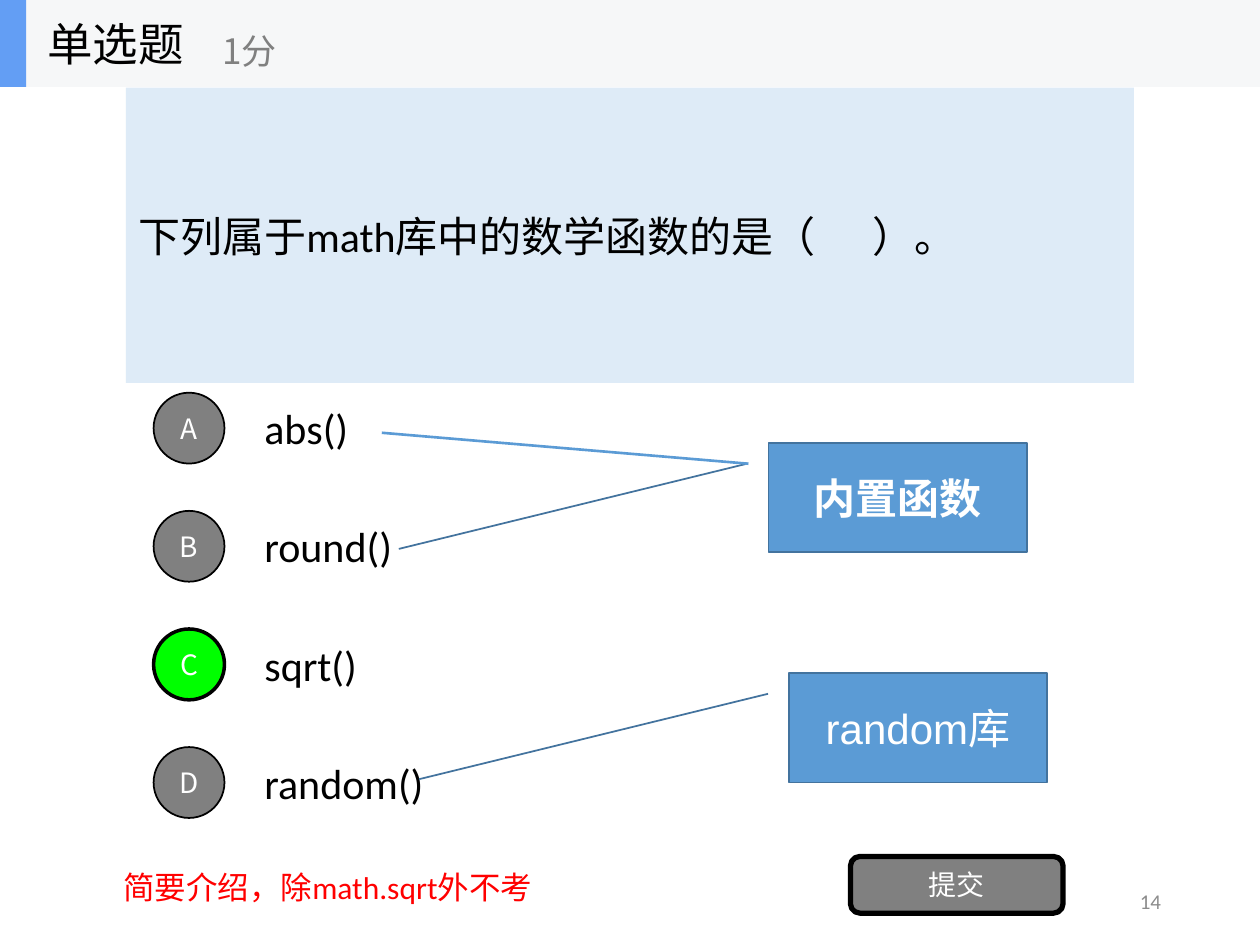
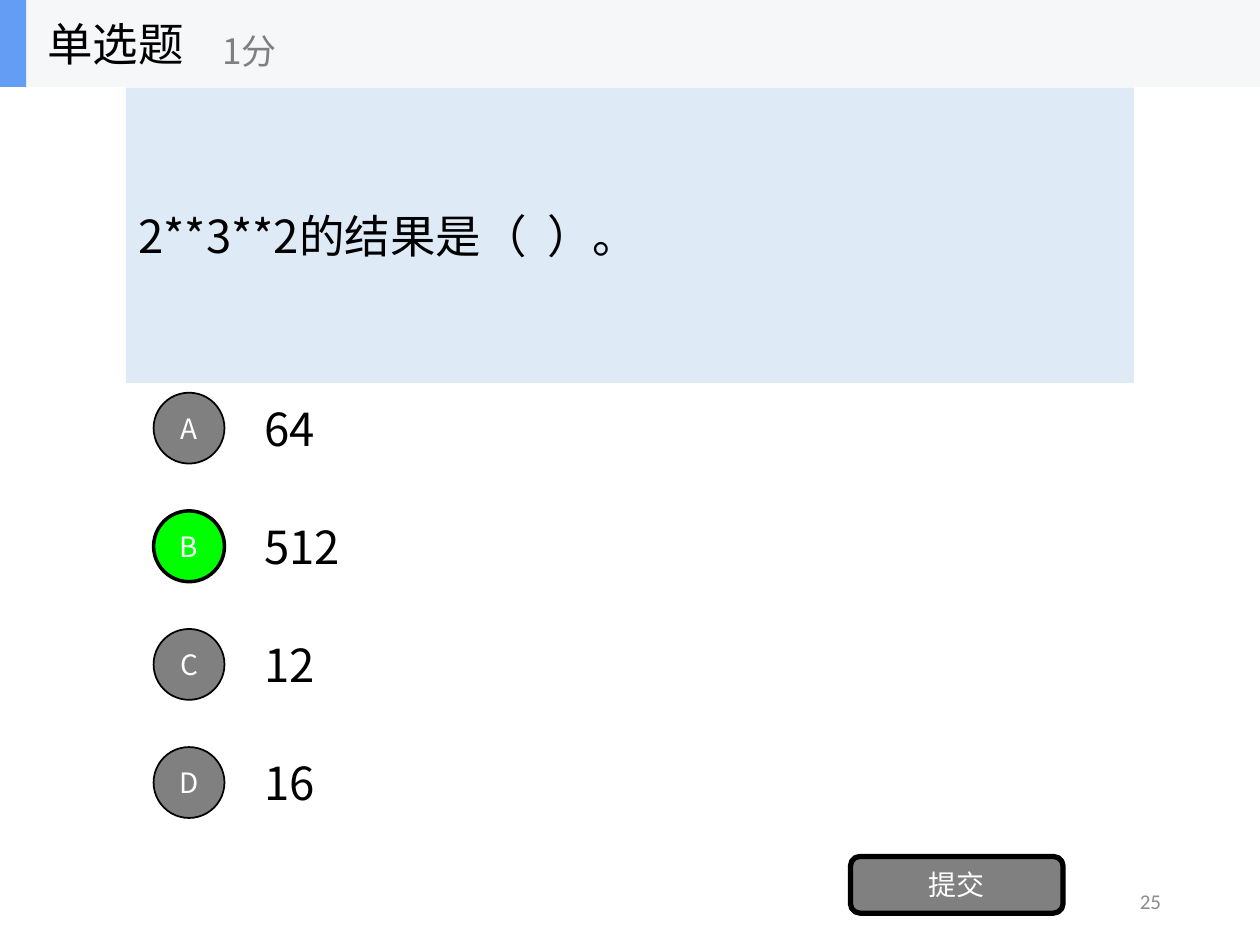
"""Builds two single-choice quiz slides with a shared header, option list and submit button."""
from dataclasses import dataclass

from lxml import etree
from pptx import Presentation
from pptx.dml.color import RGBColor
from pptx.enum.shapes import MSO_CONNECTOR, MSO_SHAPE
from pptx.enum.text import MSO_ANCHOR, PP_ALIGN
from pptx.util import Pt

RECT, OVAL = MSO_SHAPE.RECTANGLE, MSO_SHAPE.OVAL
ROUND, CALLOUT = MSO_SHAPE.ROUNDED_RECTANGLE, MSO_SHAPE.LINE_CALLOUT_1
STRAIGHT = MSO_CONNECTOR.STRAIGHT
MIDDLE, TOP = MSO_ANCHOR.MIDDLE, MSO_ANCHOR.TOP
LEFT, CENTER, RIGHT = PP_ALIGN.LEFT, PP_ALIGN.CENTER, PP_ALIGN.RIGHT
A_NS = "http://schemas.openxmlformats.org/drawingml/2006/main"


@dataclass(frozen=True)
class Theme:
    black: str = "000000"
    white: str = "FFFFFF"
    gray: str = "808080"
    number: str = "8C8C8C"
    correct: str = "00FF00"
    note: str = "FF0000"
    band: str = "F6F7F8"
    accent: str = "639EF4"
    question: str = "DEEBF7"
    callout: str = "5B9BD5"
    callout_line: str = "43739E"
    cjk: str = "Noto Sans CJK SC"
    latin: str = "Calibri"
    sans: str = "Arial"
    title_size: int = 26
    body_size: int = 24
    score_size: int = 20
    note_size: int = 18
    label_size: int = 16
    number_size: int = 12


class Quiz:
    def __init__(self, prs, theme):
        self.prs, self.theme = prs, theme
        self.s = self.shapes = None

    def new_slide(self):
        self.s = self.prs.slides.add_slide(self.prs.slide_layouts[6])
        self.shapes = self.s.shapes

    def set_text(self, sp, text, size, color, font, align=LEFT, anchor=MIDDLE, bold=False):
        tf = sp.text_frame
        tf.word_wrap, tf.vertical_anchor = True, anchor
        p = tf.paragraphs[0]
        p.text, p.alignment = text, align
        p.font.size, p.font.name, p.font.bold = Pt(size), font, bold
        p.font.color.rgb = RGBColor.from_string(color)

    def text(self, box, *style, **options):
        sp = self.shapes.add_textbox(*map(Pt, box))
        self.set_text(sp, *style, **options)

    def shape(self, kind, box, fill, line=None, width=1):
        sp = self.shapes.add_shape(kind, *map(Pt, box))
        sp.shadow.inherit = False
        sp.fill.solid()
        sp.fill.fore_color.rgb = RGBColor.from_string(fill)
        if line:
            sp.line.color.rgb = RGBColor.from_string(line)
            sp.line.width = Pt(width)
        else:
            sp.line.fill.background()
        return sp

    def line(self, start, end, color, width):
        cx = self.shapes.add_connector(STRAIGHT, *map(Pt, start + end))
        cx.line.color.rgb = RGBColor.from_string(color)
        cx.line.width = Pt(width)
        etree.SubElement(cx.element.spPr, f"{{{A_NS}}}effectLst")

    def header(self):
        t = self.theme
        self.shapes = self.s.shapes.add_group_shape().shapes
        self.shape(RECT, (0, 0, 720, 49.7), t.band)
        self.shape(RECT, (0, 0, 15, 49.7), t.accent)
        self.text((20, 0, 150, 49.7), "单选题", t.title_size, t.black, t.cjk)
        self.text((120, 8.8, 180, 40.2), "1分", t.score_size, t.gray, t.cjk)
        self.shapes = self.s.shapes

    def question(self, text, size, font):
        sp = self.shape(RECT, (72, 50, 576, 168.75), self.theme.question)
        self.set_text(sp, text, size, self.theme.black, font)

    def options(self, answers, correct, width, size, font):
        t = self.theme
        for i, (letter, answer) in enumerate(zip("ABCD", answers)):
            top = 219.4 + 67.5 * i
            self.text((144, top, width, 50.4), answer, size, t.black, font)
            fill, border = (t.correct, 2) if letter == correct else (t.gray, 1)
            sp = self.shape(OVAL, (87.75, top + 5, 40.5, 40.5), fill, t.black, border)
            sp.text_frame.margin_left = sp.text_frame.margin_right = 0
            self.set_text(sp, letter, t.label_size, t.white, t.cjk, CENTER)

    def submit_button(self):
        t = self.theme
        sp = self.shape(ROUND, (486, 489.4, 121.5, 32.4), t.gray, t.black, 3)
        self.set_text(sp, "提交", t.label_size, t.white, t.cjk, CENTER)

    def page_number(self, number):
        t = self.theme
        self.text((508.5, 500.5, 162, 28.75), str(number), t.number_size, t.number,
                  t.latin, align=RIGHT)

    def callout(self, left, top, text, font, bold=False):
        t = self.theme
        sp = self.shape(CALLOUT, (left, top, 147.75, 62.6), t.callout, t.callout_line)
        for i, value in enumerate((0.19, -0.08, 0.97, -1.43)):
            sp.adjustments[i] = value
        self.set_text(sp, text, t.body_size, t.white, font, CENTER, bold=bold)

    def note(self, text):
        t = self.theme
        self.text((63.4, 492.5, 360, 29), text, t.note_size, t.note, t.latin, anchor=TOP)

    def question_slide(self, number, question, answers, correct, width, size, font):
        self.new_slide()
        self.page_number(number)
        self.question(question, size, font)
        self.options(answers, correct, width, size, font)
        self.submit_button()
        self.header()


def main():
    prs = Presentation()
    prs.slide_width, prs.slide_height = Pt(720), Pt(540)
    t = Theme()
    quiz = Quiz(prs, t)

    quiz.question_slide(14, "下列属于math库中的数学函数的是（      ）。",
                        ("abs()", "round()", "sqrt()", "random()"), "C",
                        119.5, t.body_size, t.latin)
    quiz.callout(439.2, 253, "内置函数", t.latin, bold=True)
    quiz.callout(450.7, 384.6, "random库", t.sans)
    quiz.line((427.7, 265), (218.2, 247.3), t.callout, 1.5)
    quiz.note("简要介绍，除math.sqrt外不考")

    quiz.question_slide(25, "2**3**2的结果是（  ）。", ("64", "512", "12", "16"), "B",
                        504, t.title_size, t.cjk)

    prs.save("out.pptx")


if __name__ == "__main__":
    main()
